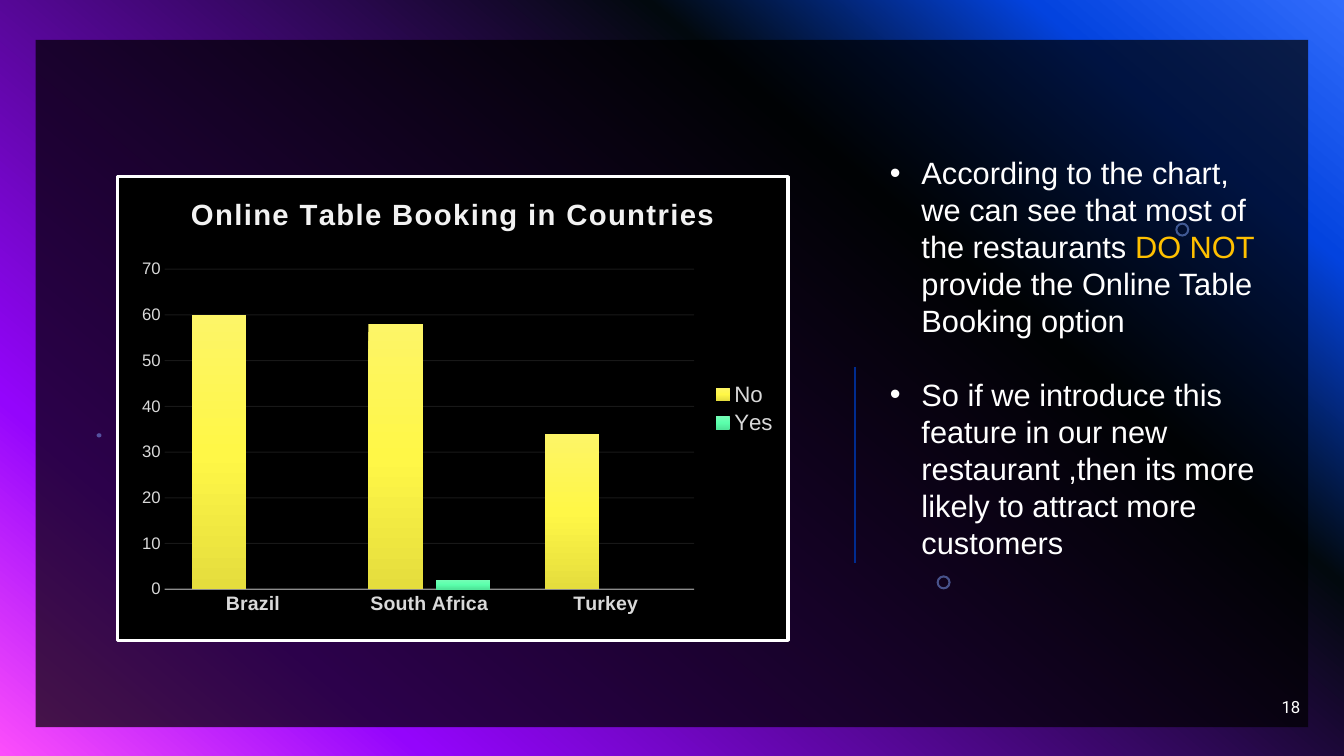
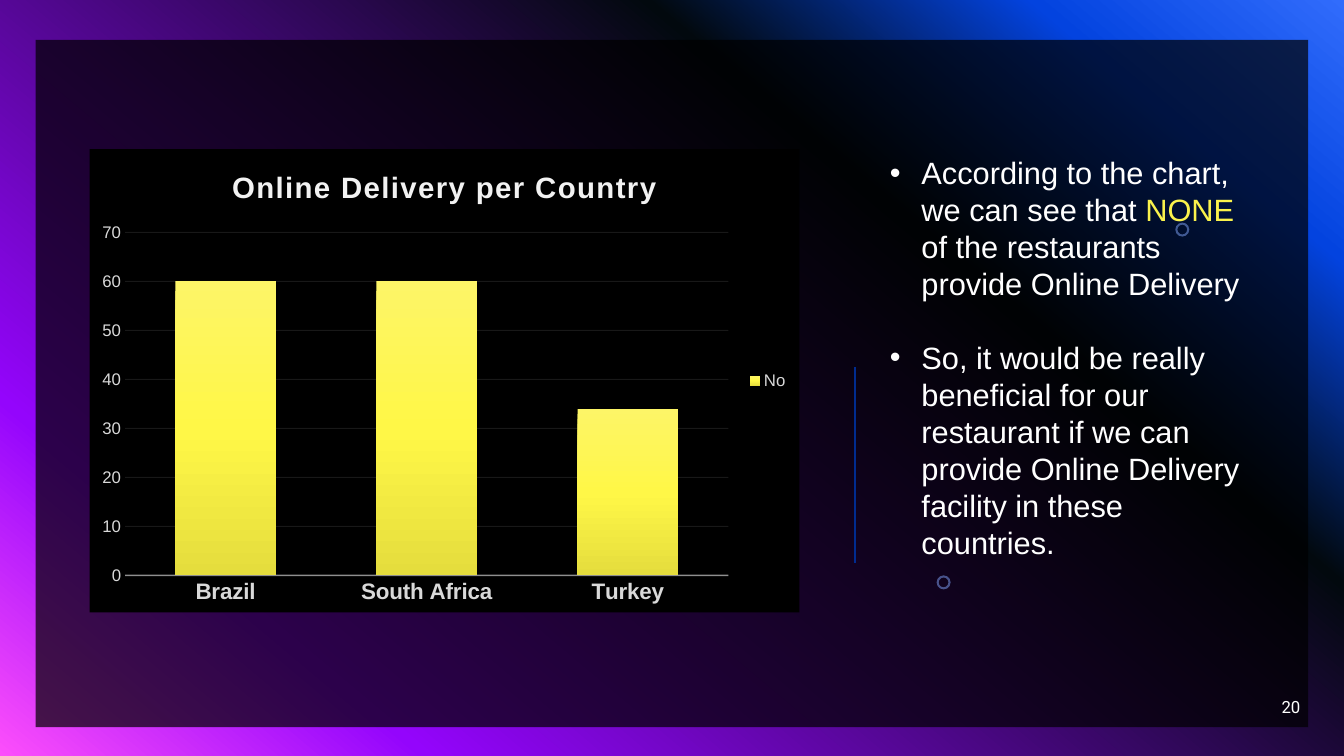
from lxml import etree
from pptx import Presentation
from pptx.chart.data import CategoryChartData
from pptx.dml.color import RGBColor
from pptx.enum.chart import XL_CHART_TYPE, XL_LEGEND_POSITION, XL_TICK_MARK
from pptx.enum.shapes import MSO_CONNECTOR, MSO_SHAPE
from pptx.enum.text import MSO_ANCHOR, MSO_AUTO_SIZE, PP_ALIGN
from pptx.oxml import parse_xml
from pptx.oxml.ns import nsdecls, qn
from pptx.util import Pt

COLUMNS = XL_CHART_TYPE.COLUMN_CLUSTERED
LEGEND_RIGHT = XL_LEGEND_POSITION.RIGHT
NO_TICKS = XL_TICK_MARK.NONE
STRAIGHT = MSO_CONNECTOR.STRAIGHT
RECTANGLE, OVAL, DONUT = MSO_SHAPE.RECTANGLE, MSO_SHAPE.OVAL, MSO_SHAPE.DONUT
MIDDLE, RIGHT = MSO_ANCHOR.MIDDLE, PP_ALIGN.RIGHT
NO_AUTOFIT = MSO_AUTO_SIZE.NONE

# Shared look
BLACK, WHITE, PALE, GREY = "000000", "FFFFFF", "F2F2F2", "D9D9D9"
AMBER, LEMON = "FFC000", "FAF24C"
RULE_BLUE, RING_BLUE = "002C90", "83A7FD"
BACKDROP = [(0, "316CFC"), (14, "0343DF"), (31, "02090E"),
            (81, "9405FC"), (100, "FC4EFB")]
YELLOW = [(0, "FDF567"), (50, "FFF747"), (100, "E5DD3D")]
GREEN = [(0, "75FEB6"), (50, "5BFFAC"), (100, "4FE599")]
FONT, NUMBER_FONT = "Arial", "Roboto"
LINE_HEIGHT = 26.4
BULLET_INDENT = 22.5
COUNTRIES = ["Brazil", "South Africa", "Turkey"]


def rgb(hex_color):
    return RGBColor.from_string(hex_color)


def style_font(font, size, color, bold=False, name=FONT):
    font.name, font.size, font.bold = name, Pt(size), bold
    font.color.rgb = rgb(color)


def fade(element, percent):
    """Make the first colour inside the element partly transparent."""
    color = element.find(".//" + qn("a:srgbClr"))
    etree.SubElement(color, qn("a:alpha"), val=str(percent * 1000))


def paint_gradient(fill, stops, angle):
    """Fill with (percent, colour) stops; the angle runs clockwise."""
    fill.gradient()
    fill.gradient_angle = 360 - angle
    stop_list = fill._xPr.find(".//" + qn("a:gsLst"))
    for old_stop in list(stop_list):
        stop_list.remove(old_stop)
    for percent, color in stops:
        stop = etree.SubElement(stop_list, qn("a:gs"), pos=str(percent * 1000))
        etree.SubElement(stop, qn("a:srgbClr"), val=color)


def style_line(line, color, width, opacity):
    line.color.rgb = rgb(color)
    line.width = Pt(width)
    fade(line._ln, opacity)


# Layout
def add_glaze(slide, kind, left, top, width, height, color, opacity):
    shape = slide.shapes.add_shape(kind, Pt(left), Pt(top), Pt(width), Pt(height))
    shape.shadow.inherit = False
    shape.fill.solid()
    shape.fill.fore_color.rgb = rgb(color)
    shape.line.fill.background()
    fade(shape._element.spPr, opacity)
    return shape


def add_rule(slide, x, top, bottom):
    rule = slide.shapes.add_connector(STRAIGHT, Pt(x), Pt(top), Pt(x), Pt(bottom))
    rule.line.color.rgb = rgb(RULE_BLUE)
    rule.line.width = Pt(1.5)
    etree.SubElement(rule._element.spPr, qn("a:effectLst"))
    return rule


def prepare_layout(layout):
    """Keep only the body placeholder and set the gradient backdrop."""
    paint_gradient(layout.background.fill, BACKDROP, 130)
    for placeholder in list(layout.placeholders):
        if placeholder.placeholder_format.idx != 1:
            placeholder._element.getparent().remove(placeholder._element)
            continue
        placeholder.left, placeholder.top = Pt(628.5), Pt(106.5)
        placeholder.width, placeholder.height = Pt(278), Pt(327)


def decorate_layout(layout, slide):
    """Draw the panel and ornaments on the slide, then move them to its layout."""
    ornaments = [
        add_glaze(slide, RECTANGLE, 25.5, 28.5, 909, 491, BLACK, 70),
        add_rule(slide, 610.5, 262, 402),
        add_glaze(slide, OVAL, 69, 309.5, 3.5, 3, RING_BLUE, 49),
    ]
    for left, top in [(839.5, 159), (669, 411)]:
        ring = add_glaze(slide, DONUT, left, top, 10, 10, RING_BLUE, 49)
        ring.adjustments[0] = 0.15
        ornaments.append(ring)
    for shape_id, ornament in enumerate(ornaments, start=100):
        ornament._element.xpath(".//p:cNvPr")[0].set("id", str(shape_id))
        layout.shapes.element.append(ornament._element)


# Text
def fill_findings(slide, findings):
    """Each finding is a list of (text, colour) runs."""
    frame = slide.placeholders[1].text_frame
    frame.auto_size = NO_AUTOFIT
    for index, runs in enumerate(findings):
        paragraph = frame.add_paragraph() if index else frame.paragraphs[0]
        paragraph.line_spacing = Pt(LINE_HEIGHT)
        paragraph.space_before = Pt(LINE_HEIGHT if index else 0)
        properties = paragraph._p.get_or_add_pPr()
        properties.set("marL", str(Pt(BULLET_INDENT)))
        properties.set("indent", str(-Pt(BULLET_INDENT)))
        style_font(paragraph.font, 22, WHITE)
        for text, color in runs:
            run = paragraph.add_run()
            run.text = text
            if color != WHITE:
                run.font.color.rgb = rgb(color)


def add_slide_number(slide, number):
    box = slide.shapes.add_textbox(Pt(720), Pt(490.5), Pt(216), Pt(29))
    box.text_frame.word_wrap = True
    box.text_frame.vertical_anchor = MIDDLE
    paragraph = box.text_frame.paragraphs[0]
    paragraph.text = str(number)
    paragraph.alignment = RIGHT
    style_font(paragraph.font, 12, WHITE, name=NUMBER_FONT)


# Chart
def title_chart(chart, title):
    chart.has_title = True
    chart.chart_title.include_in_layout = False
    paragraph = chart.chart_title.text_frame.paragraphs[0]
    run = paragraph.add_run()
    run.text = title
    style_font(run.font, 21, PALE, bold=True)
    run.font._element.set("spc", "100")


def style_axes(chart, category_size):
    categories, values = chart.category_axis, chart.value_axis
    for axis, size, bold in [(categories, category_size, True), (values, 12, False)]:
        axis.major_tick_mark = axis.minor_tick_mark = NO_TICKS
        style_font(axis.tick_labels.font, size, GREY, bold)
    style_line(categories.format.line, PALE, 1, 54)
    values.format.line.fill.background()
    values.minimum_scale, values.maximum_scale, values.major_unit = 0, 70, 10
    style_line(values.major_gridlines.format.line, PALE, 0.75, 10)


def place_plot(chart, fractions):
    """Fix the inner plot area as fractions of the chart: x, y, w, h."""
    places = "".join(f'<c:{key} val="{value}"/>'
                     for key, value in zip("xywh", fractions))
    layout = parse_xml(
        f'<c:layout {nsdecls("c")}><c:manualLayout><c:layoutTarget val="inner"/>'
        f'<c:xMode val="edge"/><c:yMode val="edge"/>{places}'
        '</c:manualLayout></c:layout>')
    plot_area = chart._chartSpace.chart.plotArea
    for old_layout in plot_area.findall(qn("c:layout")):
        plot_area.remove(old_layout)
    plot_area.insert(0, layout)


def fill_chart_area(chart, border_width):
    border = "<a:ln><a:noFill/></a:ln>"
    if border_width:
        border = (f'<a:ln w="{Pt(border_width)}"><a:solidFill>'
                  f'<a:srgbClr val="{WHITE}"/></a:solidFill></a:ln>')
    chart._chartSpace.chart.addnext(parse_xml(
        f'<c:spPr {nsdecls("c", "a")}><a:solidFill><a:srgbClr val="{BLACK}"/>'
        f'</a:solidFill>{border}</c:spPr>'))


def add_country_chart(slide, title, box, plot, series,
                      category_size, legend_size, border_width=0):
    """Series holds (name, values, gradient) triples."""
    data = CategoryChartData()
    data.categories = COUNTRIES
    for name, values, _ in series:
        data.add_series(name, values)
    chart = slide.shapes.add_chart(COLUMNS, *map(Pt, box), data).chart
    style_font(chart.font, 10, BLACK)
    title_chart(chart, title)
    style_axes(chart, category_size)
    place_plot(chart, plot)
    fill_chart_area(chart, border_width)

    chart.has_legend = True
    chart.legend.position = LEGEND_RIGHT
    chart.legend.include_in_layout = False
    style_font(chart.legend.font, legend_size, GREY)

    columns = chart.plots[0]
    columns.gap_width, columns.overlap = 100, -24
    columns.vary_by_categories = False
    for column, (_, _, gradient) in zip(columns.series, series):
        paint_gradient(column.format.fill, gradient, 90)


def main():
    deck = Presentation()
    deck.slide_width, deck.slide_height = Pt(960), Pt(540)
    layout = deck.slide_layouts[1]
    prepare_layout(layout)

    # Online table booking
    booking = deck.slides.add_slide(layout)
    decorate_layout(layout, booking)
    fill_findings(booking, [
        [("According to the chart, we can see that most of the restaurants ", WHITE),
         ("DO NOT ", AMBER),
         ("provide the Online Table Booking option", WHITE)],
        [("So if we introduce this feature in our new restaurant ,"
          "then its more likely to attract more customers", WHITE)],
    ])
    add_country_chart(
        booking, "Online Table Booking in Countries",
        box=(83, 125, 481, 333.5), plot=(0.07, 0.2, 0.79, 0.69),
        series=[("No", [60, 58, 34], YELLOW), ("Yes", [None, 2, None], GREEN)],
        category_size=14, legend_size=16, border_width=2.25)
    add_slide_number(booking, 18)

    # Online delivery
    delivery = deck.slides.add_slide(layout)
    fill_findings(delivery, [
        [("According to the chart, we can see that ", WHITE),
         ("NONE", LEMON),
         (" of the restaurants provide Online Delivery", WHITE)],
        [("So, it would be really beneficial for our restaurant if we can "
          "provide Online Delivery facility in these countries.", WHITE)],
    ])
    add_country_chart(
        delivery, "Online Delivery per Country",
        box=(64, 106.5, 507, 331), plot=(0.05, 0.18, 0.85, 0.74),
        series=[("No", [60, 60, 34], YELLOW)],
        category_size=16, legend_size=12)
    add_slide_number(delivery, 20)

    deck.save("out.pptx")


if __name__ == "__main__":
    main()
